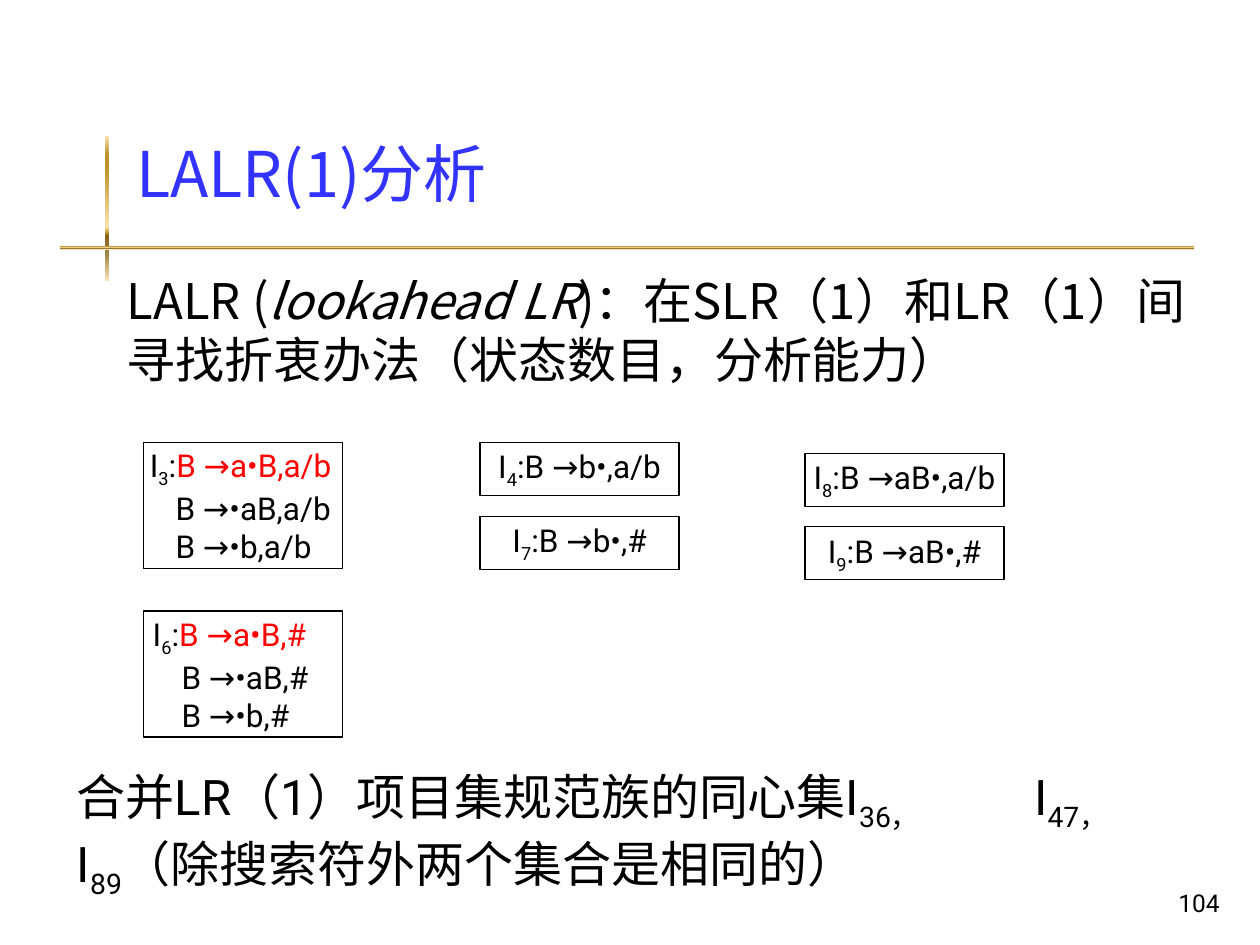
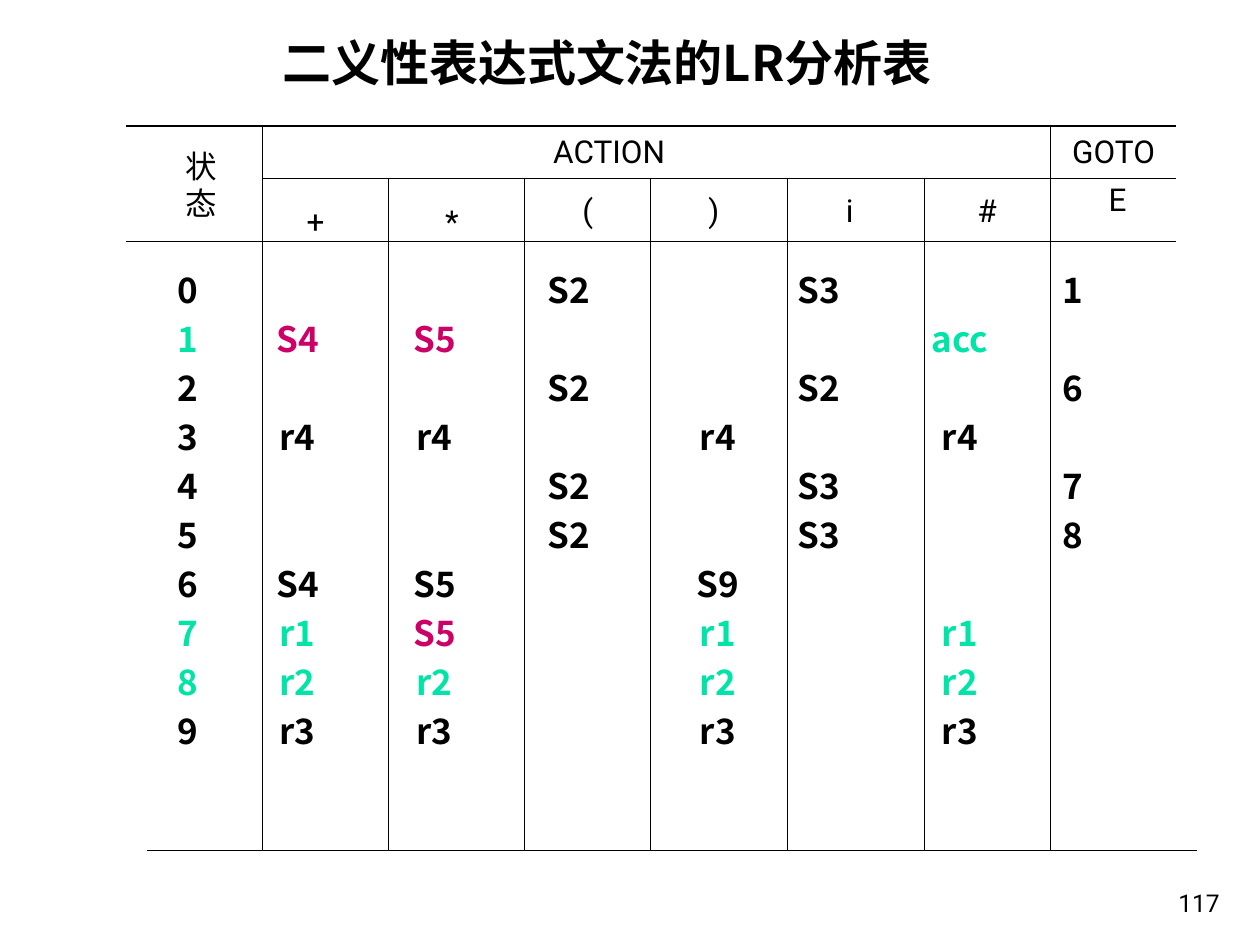
from lxml import etree
from pptx import Presentation
from pptx.dml.color import RGBColor
from pptx.enum.shapes import MSO_CONNECTOR as CONN, MSO_SHAPE as SHAPE
from pptx.enum.text import MSO_ANCHOR as ANCHOR, MSO_AUTO_SIZE as FIT, PP_ALIGN as ALIGN
from pptx.oxml.ns import qn
from pptx.util import Cm, Pt

COLORS = {
    "text": "000000", "title": "3333FF", "paper": "FFFFFF",
    "kernel": "FF0000", "resolved": "00E4A8", "shift": "CC0066",
}
GOLD = [(0, "FBE4AE"), (13, "BD922A"), (21, "BD922A"), (63, "FBE4AE"),
        (67, "BD922A"), (69, "835E17"), (82, "A28949"), (100, "FAE3B7")]
CJK, LATIN = "Noto Sans CJK JP", "Roboto"
TITLE_ONLY = 5

# Parsing table: column lines, tab centres and contents
COLUMN_X = [5.29, 7.83, 10.58, 13.12, 15.88, 18.63, 21.17]
TABLE_TOP, SYMBOL_TOP, BODY_TOP, TABLE_END = 2.54, 3.6, 4.87, 17.15
TABLE_LEFT, TABLE_RIGHT = 2.54, 23.71
TAB_CENTERS = [1.0, 3.21, 5.97, 8.68, 11.68, 13.72, 16.56, 18.84]
HEADERS = [  # text, centre x, top, height
    ("ACTION", 12.28, 2.54, 1.02), ("GOTO", 22.45, 2.54, 1.02),
    ("+", 6.36, 3.81, 1.27), ("*", 9.11, 3.81, 1.27),
    ("(", 11.85, 3.6, 1.27), (")", 14.39, 3.6, 1.27),
    ("i", 17.13, 3.6, 1.27), ("#", 19.9, 3.6, 1.27),
    ("E", 22.53, 3.38, 1.27),
]
ROWS = [
    "0,,,S2,,S3,,1",
    "1,S4,S5,,,,acc",
    "2,,,S2,,S2,,6",
    "3,r4,r4,,r4,,r4",
    "4,,,S2,,S3,,7",
    "5,,,S2,,S3,,8",
    "6,S4,S5,,S9",
    "7,r1,S5,,r1,,r1",
    "8,r2,r2,,r2,,r2",
    "9,r3,r3,,r3,,r3",
]
RESOLVED_STATES = {"1", "7", "8"}


def rgb(name):
    return RGBColor.from_string(COLORS[name])


def add_run(p, text, size, font=LATIN, color="text", bold=False, italic=False, sub=False):
    r = p.add_run()
    r.text = text
    f = r.font
    f.size, f.name, f.bold, f.italic = Pt(size), font, bold, italic
    f.color.rgb = rgb(color)
    r_pr = f._element
    etree.SubElement(r_pr, qn("a:ea"), typeface=CJK)
    if sub:
        r_pr.set("baseline", "-25000")


def next_paragraph(tf, first):
    return tf.paragraphs[0] if first else tf.add_paragraph()


def tight(p, size):
    """Fix the line pitch at 1.2 times the text size."""
    p.line_spacing = Pt(round(size * 1.2, 1))


def add_box(s, x, y, w, h, anchor=ANCHOR.TOP, wrap=True):
    tf = s.shapes.add_textbox(Cm(x), Cm(y), Cm(w), Cm(h)).text_frame
    tf.word_wrap, tf.vertical_anchor = wrap, anchor
    return tf


def set_title(s, text, place, size, color, align, anchor, bold=False):
    title = s.shapes.title
    title.left, title.top, title.width, title.height = map(Cm, place)
    tf = title.text_frame
    tf.auto_size, tf.word_wrap, tf.vertical_anchor = FIT.NONE, True, anchor
    p = tf.paragraphs[0]
    p.alignment = align
    tight(p, size)
    add_run(p, text, size, CJK, color, bold)


def add_page_number(s, number):
    p = add_box(s, 19.56, 17.35, 5.28, 1.27, ANCHOR.BOTTOM).paragraphs[0]
    p.alignment = ALIGN.RIGHT
    add_run(p, str(number), 14)


def add_gold_bar(s, x, y, w, h):
    bar = s.shapes.add_shape(SHAPE.RECTANGLE, Cm(x), Cm(y), Cm(w), Cm(h))
    bar.shadow.inherit = False
    bar.line.fill.background()
    bar.fill.gradient()
    bar.fill.gradient_angle = 270
    stops = bar._element.spPr.find(qn("a:gradFill")).find(qn("a:gsLst"))
    for stop in list(stops):
        stops.remove(stop)
    for percent, color in GOLD:
        stop = etree.SubElement(stops, qn("a:gs"), pos=str(percent * 1000))
        etree.SubElement(stop, qn("a:srgbClr"), val=color)


def add_item_set(s, x, y, state, first, others=(), indents=None):
    """Box of LR items; with indents (first line, others) it is a left-aligned list."""
    sp = s.shapes.add_shape(SHAPE.RECTANGLE, Cm(x), Cm(y), Cm(4.01),
                            Cm(2.54 if others else 1.07))
    sp.shadow.inherit = False
    sp.fill.solid()
    sp.fill.fore_color.rgb = rgb("paper")
    sp.line.color.rgb = rgb("text")
    sp.line.width = Pt(0.75)
    tf = sp.text_frame
    tf.word_wrap, tf.vertical_anchor = True, ANCHOR.MIDDLE
    tf.margin_left = tf.margin_right = tf.margin_top = tf.margin_bottom = 0
    for i, item in enumerate([first, *others]):
        p = next_paragraph(tf, i == 0)
        p.alignment = ALIGN.LEFT if indents else ALIGN.CENTER
        if indents:
            p._p.get_or_add_pPr().set("marL", str(Cm(indents[min(i, 1)])))
        if i == 0:
            add_run(p, "I", 18)
            add_run(p, state, 18, sub=True)
            add_run(p, ":", 18)
        add_run(p, item, 18, color="kernel" if others and i == 0 else "text")


def add_line(s, x1, y1, x2, y2):
    line = s.shapes.add_connector(CONN.STRAIGHT, Cm(x1), Cm(y1), Cm(x2), Cm(y2))
    line.line.color.rgb = rgb("text")
    line.line.width = Pt(0.75)
    etree.SubElement(line._element.spPr, qn("a:effectLst"))


def add_header(s, lines, center, y, h, font=LATIN):
    w = 3
    tf = add_box(s, center - w / 2, y, w, h, ANCHOR.MIDDLE)
    for i, text in enumerate(lines):
        p = next_paragraph(tf, i == 0)
        p.alignment = ALIGN.CENTER
        tight(p, 18)
        add_run(p, text, 18, font)


def add_tabs(p, positions, align):
    tabs = etree.SubElement(p._p.get_or_add_pPr(), qn("a:tabLst"))
    for x in positions:
        etree.SubElement(tabs, qn("a:tab"), pos=str(Cm(x)), algn=align)


def add_table_rows(s):
    tf = add_box(s, 2.54, 5.28, 23.5 - 0.64, 11.43)
    for i, row in enumerate(ROWS):
        p = next_paragraph(tf, i == 0)
        tight(p, 20)
        p.space_before = Pt(4)
        add_tabs(p, TAB_CENTERS, "ctr")
        cells = row.split(",")
        for cell in cells:
            color = "text"
            if cells[0] in RESOLVED_STATES:
                color = "shift" if cell.startswith("S") else "resolved"
            add_run(p, "\t" + cell, 20, CJK, color, bold=True)


def add_lalr_slide(prs):
    s = prs.slides.add_slide(prs.slide_layouts[TITLE_ONLY])
    add_gold_bar(s, 2.11, 2.74, 0.08, 2.92)
    add_gold_bar(s, 1.22, 4.95, 22.86, 0.08)
    set_title(s, "LALR(1)分析", (2.49, 2.72, 21.64, 1.65), 36, "title",
              ALIGN.LEFT, ANCHOR.BOTTOM)

    p = add_box(s, 2.31, 5.33, 22.4, 2.64).paragraphs[0]
    tight(p, 28)
    add_run(p, "LALR (", 28, CJK)
    add_run(p, "lookahead LR", 28, CJK, italic=True)
    add_run(p, ")：在SLR（1）和LR（1）间寻找折衷办法（状态数目，分析能力）", 28, CJK)

    add_item_set(s, 2.9, 8.92, "3", "B →a•B,a/b", ["B →•aB,a/b", "B →•b,a/b"], (0.12, 0.64))
    add_item_set(s, 2.9, 12.32, "6", "B →a•B,#", ["B →•aB,#", "B →•b,#"], (0.18, 0.76))
    add_item_set(s, 9.68, 8.92, "4", "B →b•,a/b")
    add_item_set(s, 9.68, 10.41, "7", "B →b•,#")
    add_item_set(s, 16.23, 9.14, "8", "B →aB•,a/b")
    add_item_set(s, 16.23, 10.62, "9", "B →aB•,#")

    p = add_box(s, 1.3, 15.32, 22.61, 2.64).paragraphs[0]
    add_tabs(p, [19.3], "l")
    add_run(p, "合并LR（1）项目集规范族的同心集I", 28)
    add_run(p, "36，", 28, sub=True)
    add_run(p, "\tI", 28)
    add_run(p, "47，", 28, sub=True)
    p.add_line_break()
    add_run(p, "I", 28)
    add_run(p, "89", 28, sub=True)
    add_run(p, "（除搜索符外两个集合是相同的）", 28)
    add_page_number(s, 104)


def add_parsing_table_slide(prs):
    s = prs.slides.add_slide(prs.slide_layouts[TITLE_ONLY])
    set_title(s, "二义性表达式文法的LR分析表", (5.44, 0.53, 13.59, 1.45), 28, "text",
              ALIGN.CENTER, ANCHOR.MIDDLE, bold=True)
    add_table_rows(s)
    for x in COLUMN_X:
        outer = x in (COLUMN_X[0], COLUMN_X[-1])
        add_line(s, x, TABLE_TOP if outer else SYMBOL_TOP, x, TABLE_END)
    for y in (TABLE_TOP, BODY_TOP):
        add_line(s, TABLE_LEFT, y, TABLE_RIGHT, y)
    add_line(s, COLUMN_X[0], SYMBOL_TOP, TABLE_RIGHT, SYMBOL_TOP)
    add_line(s, 2.96, TABLE_END, 24.13, TABLE_END)
    for text, center, y, h in HEADERS:
        add_header(s, [text], center, y, h)
    add_header(s, ["状", "态"], 4.05, 2.82, 1.8, CJK)
    add_page_number(s, 117)


def main():
    prs = Presentation()
    prs.slide_width, prs.slide_height = Cm(25.4), Cm(19.05)
    add_lalr_slide(prs)
    add_parsing_table_slide(prs)
    prs.save("out.pptx")


if __name__ == "__main__":
    main()
